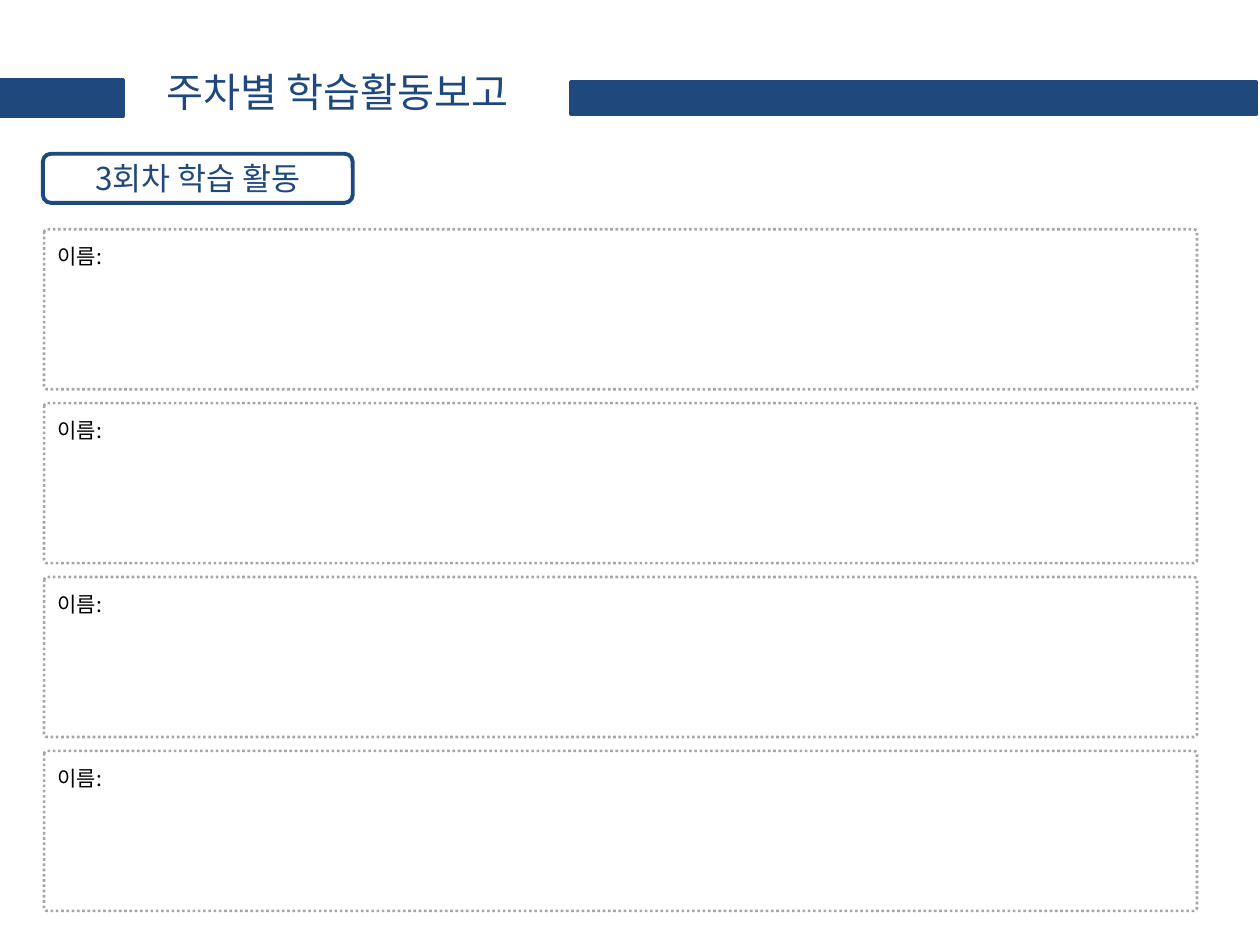
from lxml.etree import SubElement
from pptx import Presentation
from pptx.dml.color import RGBColor
from pptx.enum.dml import MSO_LINE
from pptx.enum.shapes import MSO_SHAPE
from pptx.enum.text import MSO_ANCHOR, MSO_AUTO_SIZE, PP_ALIGN
from pptx.oxml.ns import qn
from pptx.util import Inches, Pt

NAVY, GREY, BLACK, WHITE = "1F497D", "A6A6A6", "000000", "FFFFFF"
FONT = "Noto Sans CJK KR"


def color(hex_value):
    return RGBColor.from_string(hex_value)


class ReportSlide:
    def __init__(self, presentation):
        self.slide = presentation.slides.add_slide(presentation.slide_layouts[5])

    def add_label(self, shape, text, size, font_color, align=PP_ALIGN.LEFT,
                  **frame_format):
        frame = shape.text_frame
        for name, value in frame_format.items():
            setattr(frame, name, value)
        paragraph = frame.paragraphs[0]
        paragraph.alignment = align
        run = paragraph.add_run()
        run.text = text
        for name, value in {"name": FONT, "size": Pt(size)}.items():
            setattr(run.font, name, value)
        run.font.color.rgb = color(font_color)
        SubElement(run.font._element, qn("a:ea"), typeface=FONT)

    def title(self, text, left, top, width, height):
        title = self.slide.shapes.title
        position = {"left": left, "top": top, "width": width, "height": height}
        for name, value in position.items():
            setattr(title, name, Inches(value))
        self.add_label(title, text, 23, NAVY, vertical_anchor=MSO_ANCHOR.TOP,
                       auto_size=MSO_AUTO_SIZE.NONE, word_wrap=True)

    def box(self, kind, left, top, width, height, line, weight, fill=None):
        box = self.slide.shapes.add_shape(
            kind, Inches(left), Inches(top), Inches(width), Inches(height))
        box.shadow.inherit = False
        if fill:
            box.fill.solid()
            box.fill.fore_color.rgb = color(fill)
        else:
            box.fill.background()
        box.line.color.rgb = color(line)
        box.line.width = Pt(weight)
        return box

    def bar(self, left, top, width, height):
        self.box(MSO_SHAPE.RECTANGLE, left, top, width, height, NAVY, 2, NAVY)

    def session_label(self, text, left, top, width, height):
        label = self.box(MSO_SHAPE.ROUNDED_RECTANGLE, left, top, width, height,
                         NAVY, 2.25, WHITE)
        self.add_label(label, text, 18, NAVY, PP_ALIGN.CENTER,
                       vertical_anchor=MSO_ANCHOR.MIDDLE)

    def member_panel(self, text, left, top, width, height):
        panel = self.box(MSO_SHAPE.ROUNDED_RECTANGLE, left, top, width, height,
                         GREY, 1.5)
        panel.adjustments[0] = 0.02
        panel.line.dash_style = MSO_LINE.ROUND_DOT
        self.add_label(panel, text, 12, BLACK, vertical_anchor=MSO_ANCHOR.TOP,
                       margin_top=Inches(0.11))


def main():
    presentation = Presentation()
    presentation.slide_width = Inches(10)
    presentation.slide_height = Inches(7.5)

    report = ReportSlide(presentation)
    report.bar(4.53, 0.65, 5.44, 0.26)
    report.bar(-0.02, 0.63, 1, 0.29)
    report.title("주차별 학습활동보고", 1.22, 0.48, 3.31, 0.49)
    report.session_label("3회차 학습 활동", 0.34, 1.22, 2.46, 0.39)

    first_top, pitch, members = 1.82, 1.38, 4
    for member in range(members):
        report.member_panel("이름:", 0.35, first_top + member * pitch, 9.15, 1.27)

    presentation.save("out.pptx")


if __name__ == "__main__":
    main()
